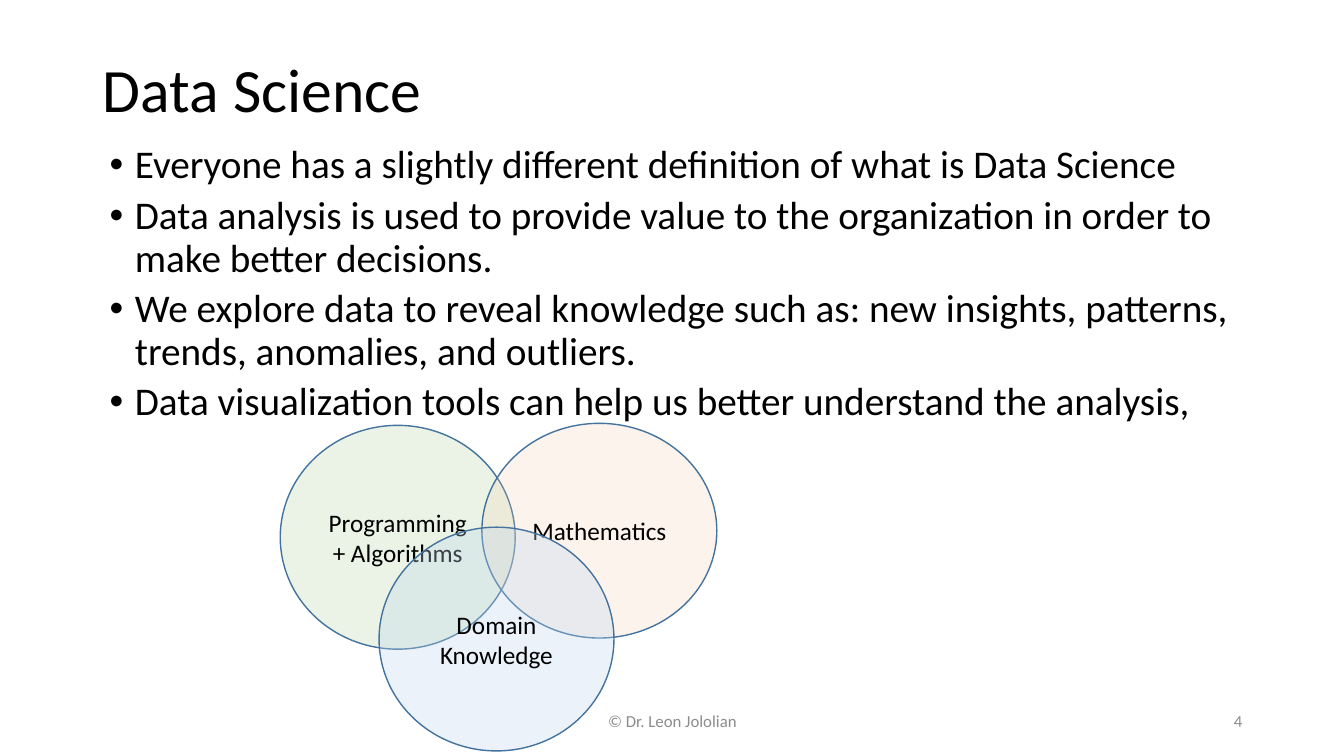
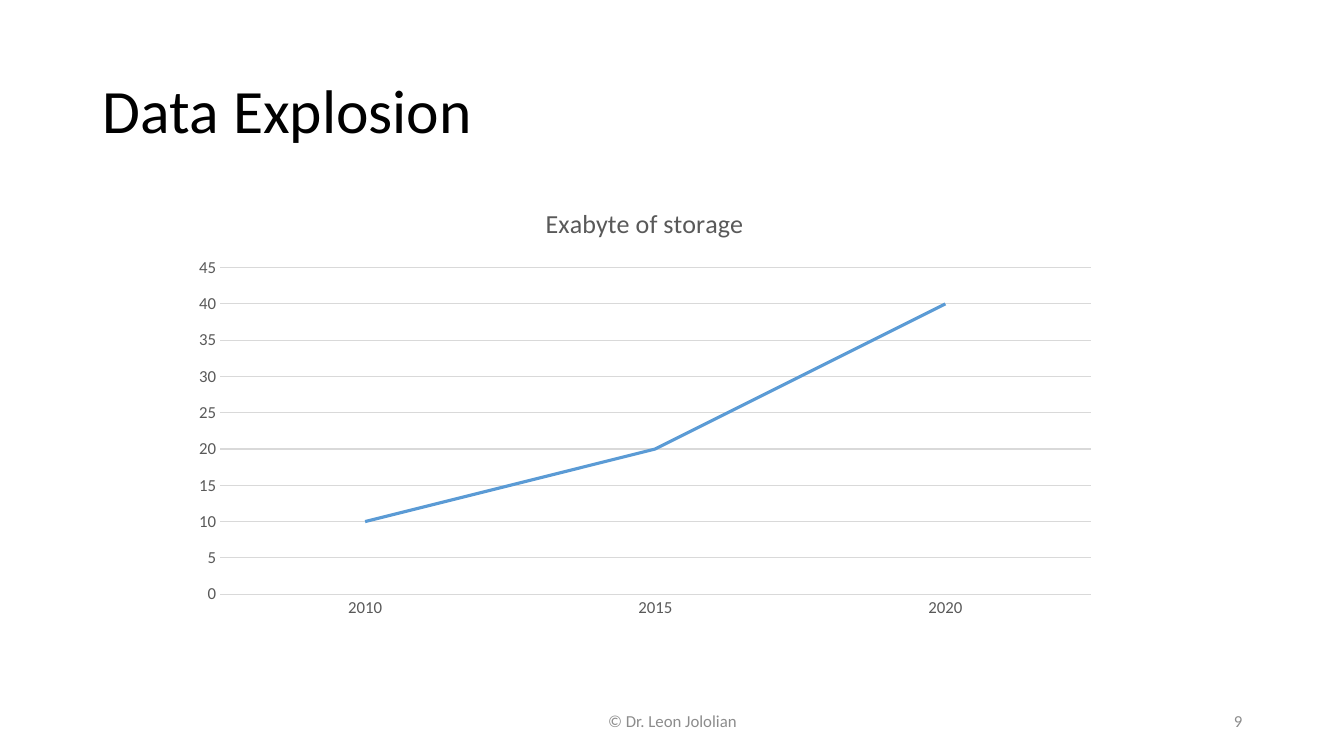
"""Build two data science slides: a Venn diagram and a storage growth chart."""
from lxml import etree
from pptx import Presentation
from pptx.chart.data import CategoryChartData
from pptx.dml.color import RGBColor
from pptx.enum.chart import XL_CHART_TYPE, XL_MARKER_STYLE, XL_TICK_MARK
from pptx.enum.shapes import MSO_SHAPE
from pptx.enum.text import MSO_ANCHOR, MSO_AUTO_SIZE, PP_ALIGN
from pptx.oxml.ns import qn
from pptx.util import Inches, Pt

LEFT, CENTER, RIGHT = PP_ALIGN.LEFT, PP_ALIGN.CENTER, PP_ALIGN.RIGHT
TOP, MIDDLE = MSO_ANCHOR.TOP, MSO_ANCHOR.MIDDLE
NO_AUTOFIT = MSO_AUTO_SIZE.NONE
OVAL = MSO_SHAPE.OVAL
LINE_CHART = XL_CHART_TYPE.LINE
NO_MARKER = XL_MARKER_STYLE.NONE
NO_TICK = XL_TICK_MARK.NONE

FONT = "Calibri"
BLACK, GREY, CHART_GREY = "000000", "8C8C8C", "595959"
GRID, OUTLINE, SERIES = "D9D9D9", "43739E", "5B9BD5"
TITLE_ONLY = 5

FOOTER = "© Dr. Leon Jololian"
FOOTER_BOX = (4.42, 6.95, 4.5, 0.4)
NUMBER_BOX = (9.42, 6.95, 3, 0.4)

BULLETS = [
    "Everyone has a slightly different definition of what is Data Science",
    "Data analysis is used to provide value to the organization in order to "
    "make better decisions.",
    "We explore data to reveal knowledge such as: new insights, patterns, "
    "trends, anomalies, and outliers.",
    "Data visualization tools can help us better understand the analysis,",
]
BULLETS_BOX = (0.99, 1.39, 11.5, 2.94)

CIRCLES = [
    ("Programming + Algorithms", (2.78, 4.22, 2.33, 2.22), "70AD47", 14),
    ("Mathematics", (4.78, 4.2, 2.33, 2.13), "F8CBAD", 21),
    ("Domain Knowledge", (3.76, 5.23, 2.33, 2.22), "BDD7EE", 30),
]

STORAGE_TITLE = "Exabyte of storage"
STORAGE = {"2010": 10, "2015": 20, "2020": 40}
CHART_BOX = (1.79, 1.85, 9.21, 4.37)


def rgb(color):
    return RGBColor.from_string(color)


def box(lengths):
    return [Inches(n) for n in lengths]


def set_font(font, size, color):
    for name, value in {"name": FONT, "size": Pt(size), "bold": False}.items():
        setattr(font, name, value)
    font.color.rgb = rgb(color)


def set_line(line, color, width):
    line.color.rgb = rgb(color)
    line.width = Pt(width)


def write(tf, lines, size, color, align, anchor=MIDDLE, **spacing):
    frame = {"word_wrap": True, "auto_size": NO_AUTOFIT, "vertical_anchor": anchor}
    for name, value in frame.items():
        setattr(tf, name, value)
    for i, text in enumerate(lines):
        p = tf.add_paragraph() if i else tf.paragraphs[0]
        for name, value in {"alignment": align, **spacing}.items():
            setattr(p, name, value)
        r = p.add_run()
        r.text = text
        set_font(r.font, size, color)


def add_text(s, place, *args, **spacing):
    tf = s.shapes.add_textbox(*box(place)).text_frame
    write(tf, *args, **spacing)
    return tf


def add_slide(prs, title, title_height, number):
    s = prs.slides.add_slide(prs.slide_layouts[TITLE_ONLY])
    sp = s.shapes.title
    sp.left, sp.top, sp.width, sp.height = box((0.92, 0.4, 11.5, title_height))
    write(sp.text_frame, [title], 44, BLACK, LEFT, line_spacing=0.9)
    add_text(s, FOOTER_BOX, [FOOTER], 12, GREY, CENTER)
    add_text(s, NUMBER_BOX, [str(number)], 12, GREY, RIGHT)
    return s


def add_bullets(s):
    tf = add_text(s, BULLETS_BOX, BULLETS, 28, BLACK, LEFT, TOP,
                  line_spacing=0.9, space_before=Pt(6))
    tf.paragraphs[0].space_before = Pt(10)
    indent = Inches(0.25)
    for p in tf.paragraphs:
        pPr = p._p.get_or_add_pPr()
        pPr.set("marL", str(indent))
        pPr.set("indent", str(-indent))
        etree.SubElement(pPr, qn("a:buFont"), typeface="Arial")
        etree.SubElement(pPr, qn("a:buChar"), char="•")


def add_circle(s, text, place, color, opacity):
    sp = s.shapes.add_shape(OVAL, *box(place))
    sp.shadow.inherit = False
    sp.fill.solid()
    sp.fill.fore_color.rgb = rgb(color)
    fill = sp._element.spPr.find(qn("a:solidFill"))
    etree.SubElement(fill[0], qn("a:alpha"), val=str(opacity * 1000))
    set_line(sp.line, OUTLINE, 1)
    write(sp.text_frame, [text], 18, BLACK, CENTER)


def add_storage_chart(s):
    data = CategoryChartData()
    data.categories = list(STORAGE)
    data.add_series(STORAGE_TITLE, list(STORAGE.values()))
    chart = s.shapes.add_chart(LINE_CHART, *box(CHART_BOX), data).chart
    set_font(chart.font, 10, BLACK)
    chart.has_legend = False
    chart.has_title = True
    p = chart.chart_title.text_frame.paragraphs[0]
    r = p.add_run()
    r.text = STORAGE_TITLE
    set_font(r.font, 18.6, CHART_GREY)
    chart.chart_title.include_in_layout = False

    for axis in (chart.category_axis, chart.value_axis):
        axis.major_tick_mark = axis.minor_tick_mark = NO_TICK
        set_font(axis.tick_labels.font, 12, CHART_GREY)
    set_line(chart.category_axis.format.line, GRID, 0.75)
    values = chart.value_axis
    values.minimum_scale, values.maximum_scale, values.major_unit = 0, 45, 5
    values.format.line.fill.background()
    set_line(values.major_gridlines.format.line, GRID, 0.75)

    plot = chart.plots[0]
    plot.vary_by_categories = False
    series = plot.series[0]
    series.smooth = False
    series.marker.style = NO_MARKER
    set_line(series.format.line, SERIES, 2.25)


def main():
    prs = Presentation()
    prs.slide_width, prs.slide_height = box((13.33, 7.5))

    s = add_slide(prs, "Data Science", 1.03, 4)
    add_bullets(s)
    for circle in CIRCLES:
        add_circle(s, *circle)

    s = add_slide(prs, "Data Explosion", 1.45, 9)
    add_storage_chart(s)

    prs.save("out.pptx")


if __name__ == "__main__":
    main()
